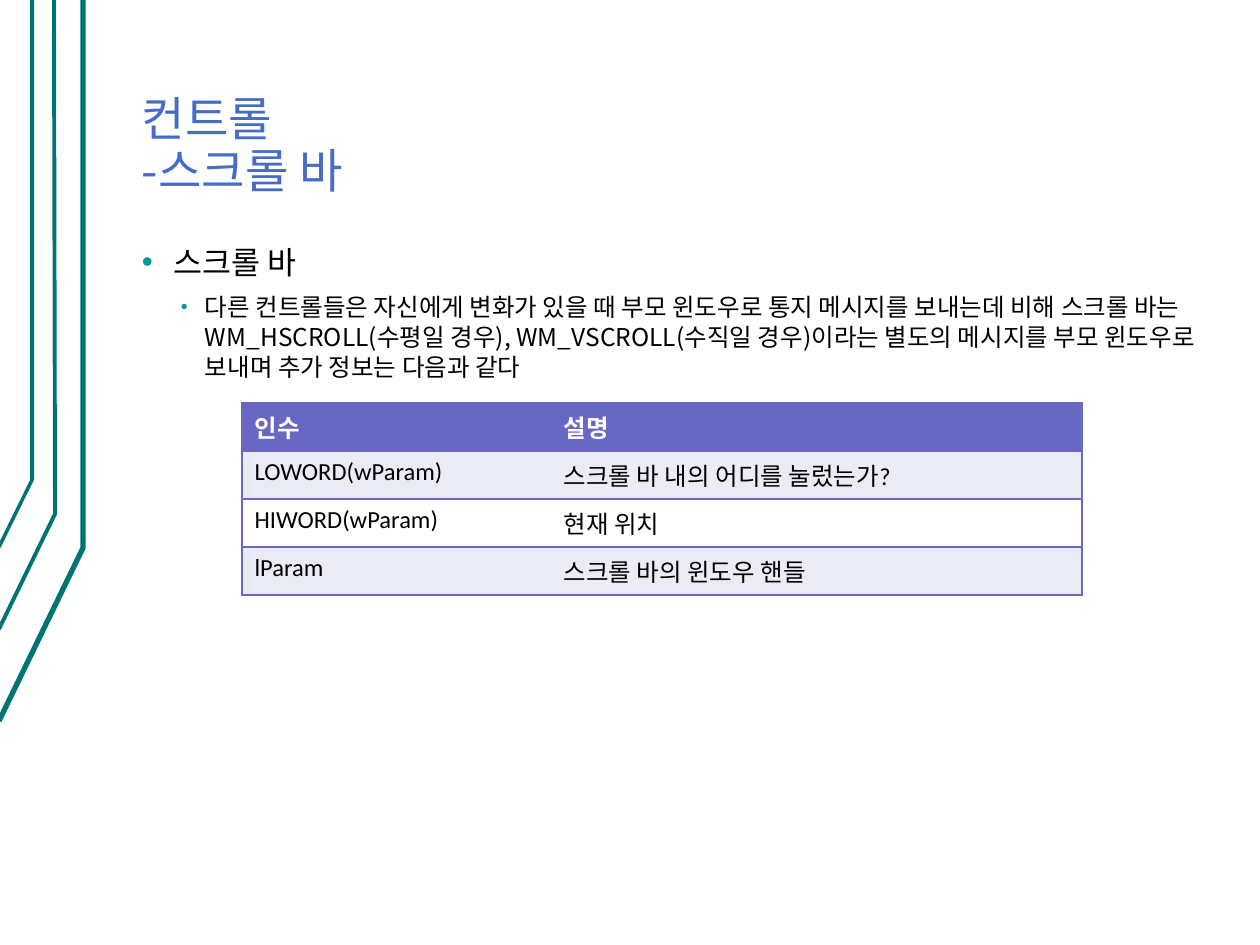
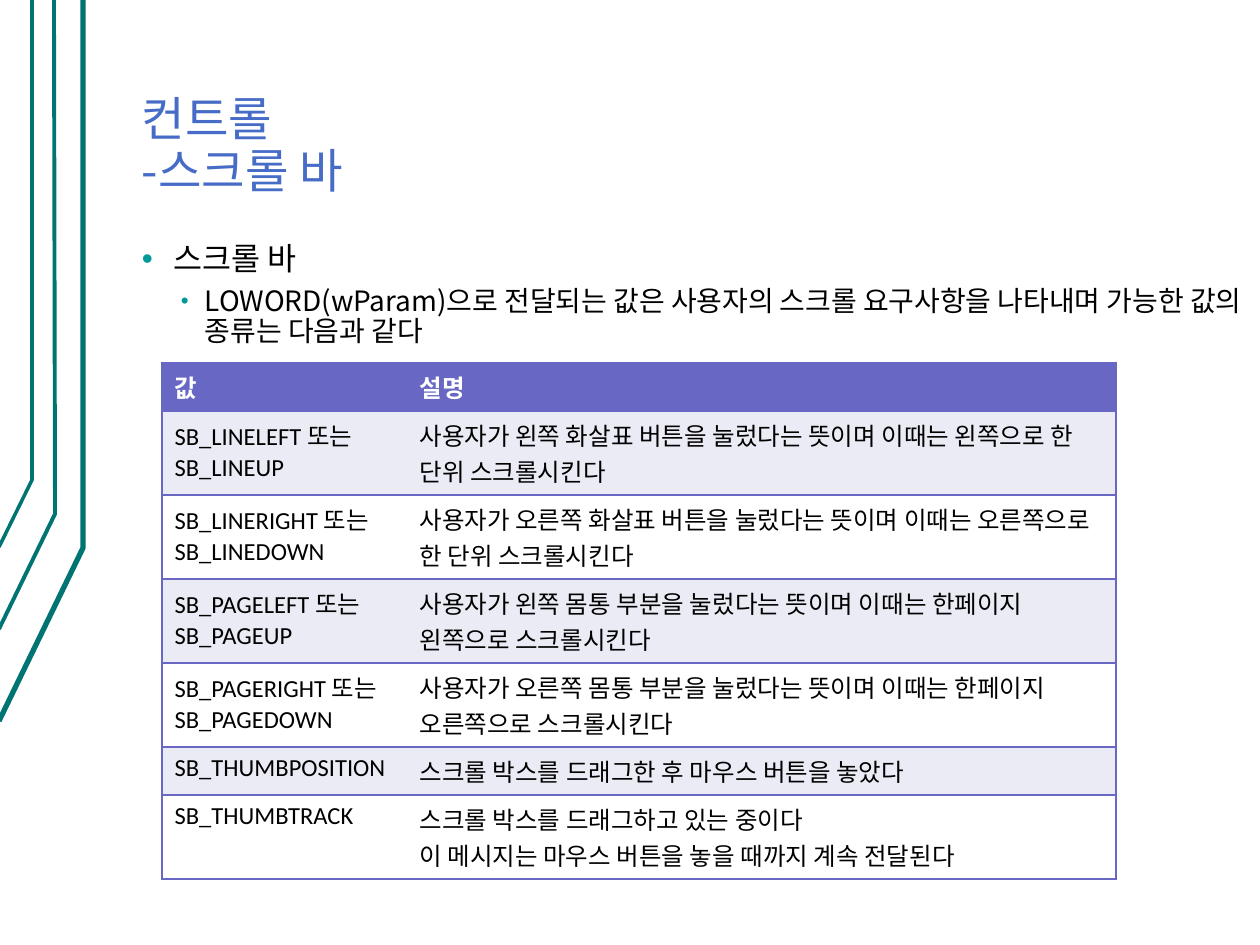
from dataclasses import dataclass
from lxml import etree
from pptx import Presentation, util as u
from pptx.dml.color import RGBColor
from pptx.enum import text
from pptx.oxml.ns import qn

SCALE = 914400 / 126
PLAIN_TABLE = "{2D5ABB26-0587-4C30-8999-92F81FD0307C}"


@dataclass(frozen=True)
class Theme:
    title: str = "466CC7"
    ink: str = "000000"
    white: str = "FFFFFF"
    bullet: str = "009999"
    rail: str = "007373"
    grid: str = "6868C4"
    band: str = "EBEBF5"
    font: str = "Noto Sans CJK KR"
    table_font: str = "Calibri"
    title_size: int = 27
    title_leading: float = 29.7
    heading_size: int = 18
    table_size: int = 14


RAILS = [
    (3, [(-1, 721), (83, 548), (83, 0)]),
    (2.25, [(-1, 629), (55, 514), (54, 0)]),
    (2, [(-1, 547), (32, 480), (32, 0)]),
]


def px(length):
    return u.Emu(round(length * SCALE))


def assign(target, values):
    for name, value in values.items():
        setattr(target, name, value)


def add_element(parent, tag, **attributes):
    return etree.SubElement(parent, qn(tag), attributes)


class Deck:
    def __init__(self, theme):
        self.theme = theme
        self.presentation = Presentation()
        assign(self.presentation, {"slide_width": px(1260), "slide_height": px(945)})
        self.slide = None

    def start_slide(self):
        self.slide = self.presentation.slides.add_slide(self.presentation.slide_layouts[6])
        for width, points in RAILS:
            self.rail(width, points)

    def rail(self, width, points):
        start, *others = points
        builder = self.slide.shapes.build_freeform(*start, scale=SCALE)
        builder.add_line_segments(others, close=False)
        shape = builder.convert_to_shape()
        shape.shadow.inherit = False
        shape.fill.background()
        shape.line.width = u.Pt(width)
        shape.line.color.rgb = RGBColor.from_string(self.theme.rail)

    def fill_paragraph(self, paragraph, wording, colour, size, latin=None, bold=False):
        paragraph.text = wording
        for run in paragraph.runs:
            assign(run.font, {"name": latin or self.theme.font, "size": u.Pt(size), "bold": bold})
            run.font.color.rgb = RGBColor.from_string(colour)
            east_asian = etree.Element(qn("a:ea"), typeface=self.theme.font)
            run._r.get_or_add_rPr().find(qn("a:latin")).addnext(east_asian)

    def text_frame(self, box, anchor):
        frame = self.slide.shapes.add_textbox(*map(px, box)).text_frame
        assign(frame, {
            "word_wrap": True, "vertical_anchor": anchor,
            "margin_left": px(16), "margin_right": px(16),
            "margin_top": px(9), "margin_bottom": px(9),
        })
        return frame

    def title(self, wording):
        theme = self.theme
        frame = self.text_frame((126, 38, 1071, 169), text.MSO_ANCHOR.BOTTOM)
        paragraph = frame.paragraphs[0]
        self.fill_paragraph(paragraph, wording, theme.title, theme.title_size)
        paragraph.line_spacing = u.Pt(theme.title_leading)

    def bullet(self, paragraph, margin, hanging, percent):
        properties = paragraph._p.get_or_add_pPr()
        properties.set("marL", str(px(margin)))
        properties.set("indent", str(-px(hanging)))
        colour = add_element(properties, "a:buClr")
        add_element(colour, "a:srgbClr", val=self.theme.bullet)
        add_element(properties, "a:buSzPct", val=str(percent * 1000))
        add_element(properties, "a:buFont", typeface="Arial")
        add_element(properties, "a:buChar", char="•")

    def body(self, heading, detail, detail_size, heading_leading):
        theme = self.theme
        frame = self.text_frame((126, 234, 1134, 615), text.MSO_ANCHOR.TOP)
        first, second = frame.paragraphs[0], frame.add_paragraph()
        self.bullet(first, 32, 32, 100)
        self.bullet(second, 63, 24, 80)
        second.level = 1
        self.fill_paragraph(first, heading, theme.ink, theme.heading_size)
        self.fill_paragraph(second, detail, theme.ink, detail_size)
        first.line_spacing = u.Pt(heading_leading)
        assign(second, {"line_spacing": u.Pt(17.1), "space_before": u.Pt(6)})

    def borders(self, cell, sides):
        properties = cell._tc.get_or_add_tcPr()
        for side in sides:
            line = add_element(properties, f"a:ln{side}", w=str(u.Pt(1)))
            fill = add_element(line, "a:solidFill")
            add_element(fill, "a:srgbClr", val=self.theme.grid)

    def table(self, left, top, widths, heights, rows):
        theme = self.theme
        box = map(px, (left, top, sum(widths), sum(heights)))
        table = self.slide.shapes.add_table(len(rows), len(widths), *box).table
        table._tbl.tblPr.find(qn("a:tableStyleId")).text = PLAIN_TABLE
        for column, width in zip(table.columns, widths):
            column.width = px(width)
        for index, (row, height, wordings) in enumerate(zip(table.rows, heights, rows)):
            row.height = px(height)
            header = index == 0
            colour = theme.grid if header else theme.band if index % 2 else theme.white
            for cell, wording, sides in zip(row.cells, wordings, ("LTB", "RTB")):
                self.borders(cell, sides)
                cell.fill.solid()
                cell.fill.fore_color.rgb = RGBColor.from_string(colour)
                frame = cell.text_frame
                for number, line in enumerate(wording.split("\n")):
                    paragraph = frame.add_paragraph() if number else frame.paragraphs[0]
                    self.fill_paragraph(paragraph, line, theme.white if header else theme.ink,
                                        theme.table_size, theme.table_font, header)


TITLE = "컨트롤\v-스크롤 바"
HEADING = "스크롤 바"

ARGUMENTS = [
    ("인수", "설명"),
    ("LOWORD(wParam)", "스크롤 바 내의 어디를 눌렀는가?"),
    ("HIWORD(wParam)", "현재 위치"),
    ("lParam", "스크롤 바의 윈도우 핸들"),
]

SCROLL_REQUESTS = [
    ("값", "설명"),
    ("SB_LINELEFT 또는\nSB_LINEUP",
     "사용자가 왼쪽 화살표 버튼을 눌렀다는 뜻이며 이때는 왼쪽으로 한 단위 스크롤시킨다"),
    ("SB_LINERIGHT 또는\nSB_LINEDOWN",
     "사용자가 오른쪽 화살표 버튼을 눌렀다는 뜻이며 이때는 오른쪽으로 한 단위 스크롤시킨다"),
    ("SB_PAGELEFT 또는\nSB_PAGEUP",
     "사용자가 왼쪽 몸통 부분을 눌렀다는 뜻이며 이때는 한페이지 왼쪽으로 스크롤시킨다"),
    ("SB_PAGERIGHT 또는\nSB_PAGEDOWN",
     "사용자가 오른쪽 몸통 부분을 눌렀다는 뜻이며 이때는 한페이지 오른쪽으로 스크롤시킨다"),
    ("SB_THUMBPOSITION", "스크롤 박스를 드래그한 후 마우스 버튼을 놓았다"),
    ("SB_THUMBTRACK",
     "스크롤 박스를 드래그하고 있는 중이다\n이 메시지는 마우스 버튼을 놓을 때까지 계속 전달된다"),
]


def main():
    deck = Deck(Theme())

    deck.start_slide()
    deck.title(TITLE)
    deck.body(HEADING, "다른 컨트롤들은 자신에게 변화가 있을 때 부모 윈도우로 통지 메시지를 보내는데 비해 "
              "스크롤 바는 WM_HSCROLL(수평일 경우), WM_VSCROLL(수직일 경우)이라는 별도의 메시지를 "
              "부모 윈도우로 보내며 추가 정보는 다음과 같다", 14, 21.7)
    deck.table(242, 403, (309, 531), [48] * 4, ARGUMENTS)

    deck.start_slide()
    deck.title(TITLE)
    deck.body(HEADING, "LOWORD(wParam)으로 전달되는 값은 사용자의 스크롤 요구사항을 나타내며 "
              "가능한 값의 종류는 다음과 같다", 16, 19.5)
    deck.table(162, 363, (245, 709), [48, *[84] * 4, 48, 84], SCROLL_REQUESTS)

    deck.presentation.save("out.pptx")


if __name__ == "__main__":
    main()
